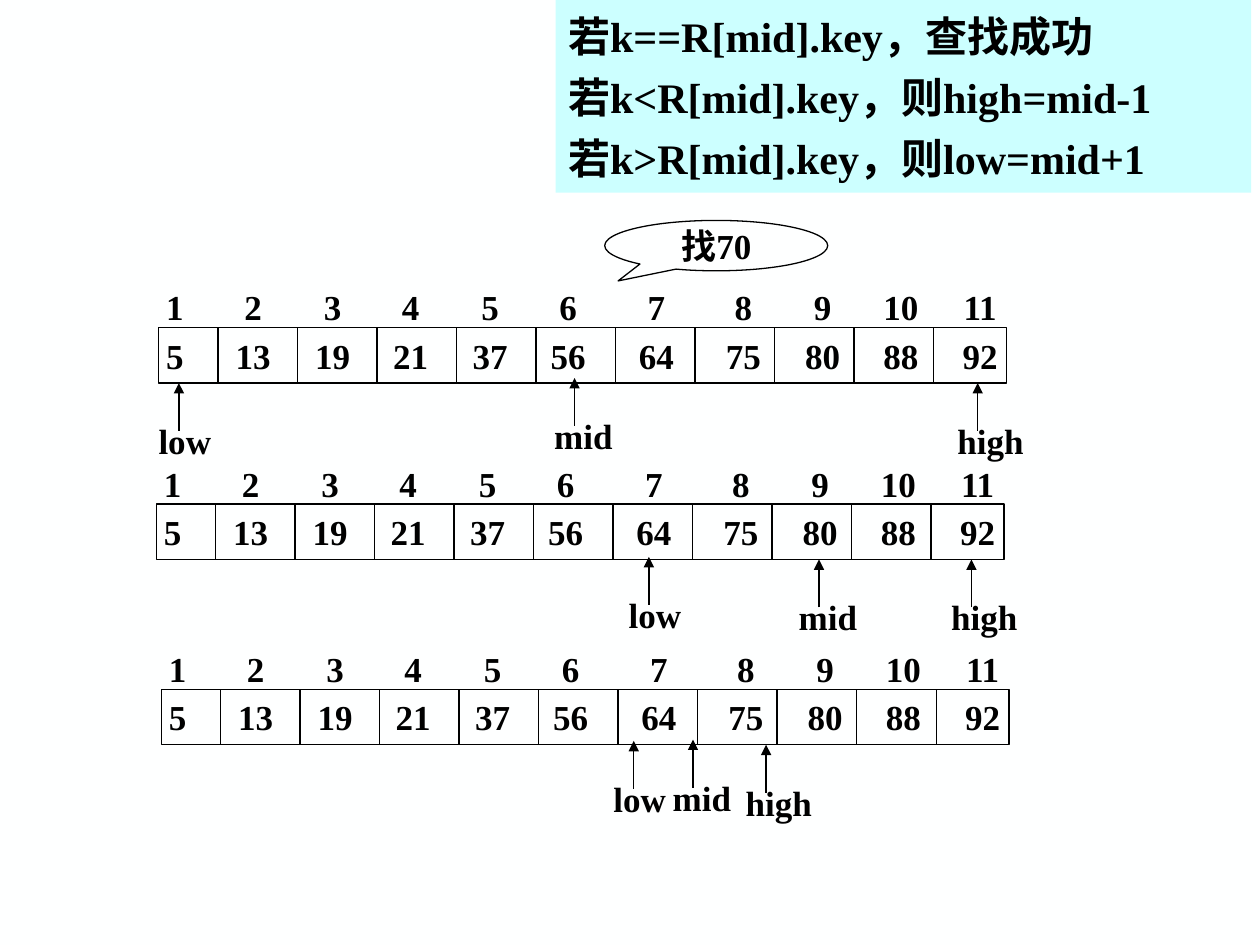
from lxml import etree
from pptx import Presentation
from pptx.dml.color import RGBColor
from pptx.enum.shapes import MSO_CONNECTOR, MSO_SHAPE
from pptx.enum.text import MSO_ANCHOR, PP_ALIGN
from pptx.oxml.ns import qn
from pptx.util import Inches, Pt

STRAIGHT = MSO_CONNECTOR.STRAIGHT
RECTANGLE, CALLOUT = MSO_SHAPE.RECTANGLE, MSO_SHAPE.OVAL_CALLOUT
TOP, MIDDLE = MSO_ANCHOR.TOP, MSO_ANCHOR.MIDDLE
LEFT, CENTER = PP_ALIGN.LEFT, PP_ALIGN.CENTER

# Content
RULES = [
    "若k==R[mid].key，查找成功",
    "若k<R[mid].key，则high=mid-1",
    "若k>R[mid].key，则low=mid+1",
]
TARGET = "找70"
KEYS = [5, 13, 19, 21, 37, 56, 64, 75, 80, 88, 92]
INDEXES = range(1, len(KEYS) + 1)
# Each search step: array corner, then pointers as (name, tip x, tip y)
STEPS = [
    ((1.26, 2.6), [("low", 1.42, 3.04), ("high", 7.76, 3.04), ("mid", 4.56, 3.0)]),
    ((1.24, 4.0), [("low", 5.15, 4.42), ("high", 7.71, 4.44), ("mid", 6.5, 4.44)]),
    ((1.28, 5.47), [("low", 5.03, 5.88), ("high", 6.08, 5.91), ("mid", 5.5, 5.87)]),
]

THEME = {
    "font": "Times New Roman",
    "ink": RGBColor(0, 0, 0),
    "panel": RGBColor(0xCC, 0xFF, 0xFF),
    "background": RGBColor(0xFE, 0xFF, 0xFF),
    "body": Pt(20),
    "rule": Pt(24),
    "line": Pt(0.75),
}

# Grid, in inches
ARRAY_WIDTH, ROW_HEIGHT = 6.73, 0.44
FIRST_DIVIDER, LAST_DIVIDER = 0.47, 6.15
DIVIDERS = len(KEYS) - 1
COLUMN = (LAST_DIVIDER - FIRST_DIVIDER) / (DIVIDERS - 1)
INDEX_RISE = 0.38
ARROW_LENGTH = 0.38
LABEL_SHIFT, LABEL_RISE = 0.26, 0.14
LABEL_WIDTHS = {"low": 0.61, "mid": 0.66, "high": 0.72}
# Number centres after the first column, measured from the text's left edge
TAB_CENTRES = [0.69, 1.32, 1.94, 2.57, 3.19, 3.89, 4.58, 5.21, 5.83, 6.46]


def write(shape, lines, size=THEME["body"], align=LEFT, anchor=MIDDLE,
          wrap=True, left=0.1, right=0.0, tabs=(), gap=0):
    frame = shape.text_frame
    frame.word_wrap = wrap
    frame.vertical_anchor = anchor
    frame.margin_left, frame.margin_right = Inches(left), Inches(right)
    frame.margin_top = frame.margin_bottom = Inches(0.05)
    for number, line in enumerate(lines):
        paragraph = frame.add_paragraph() if number else frame.paragraphs[0]
        paragraph.alignment = align
        paragraph.space_before = Pt(gap if number else 0)
        if tabs:
            stops = etree.SubElement(paragraph._p.get_or_add_pPr(), qn("a:tabLst"))
            for position in tabs:
                etree.SubElement(stops, qn("a:tab"), pos=str(Inches(position)), algn="ctr")
        run = paragraph.add_run()
        run.text = line
        run.font.name, run.font.size, run.font.bold = THEME["font"], size, True
        run.font.color.rgb = THEME["ink"]


def add_box(slide, kind, left, top, width, height, fill=None):
    shape = slide.shapes.add_shape(
        kind, Inches(left), Inches(top), Inches(width), Inches(height))
    shape.shadow.inherit = False
    if fill is None:
        shape.fill.background()
        shape.line.color.rgb = THEME["ink"]
        shape.line.width = THEME["line"]
    else:
        shape.fill.solid()
        shape.fill.fore_color.rgb = fill
        shape.line.fill.background()
    return shape


def add_text(slide, left_edge, top, width, text, **style):
    box = slide.shapes.add_textbox(
        Inches(left_edge), Inches(top), Inches(width), Inches(ROW_HEIGHT))
    write(box, [text], anchor=TOP, **style)


def add_line(slide, x, start, end, arrow=False):
    connector = slide.shapes.add_connector(
        STRAIGHT, Inches(x), Inches(start), Inches(x), Inches(end))
    connector.line.color.rgb = THEME["ink"]
    connector.line.width = THEME["line"]
    if arrow:
        etree.SubElement(connector.line._get_or_add_ln(), qn("a:tailEnd"), type="triangle")
    etree.SubElement(connector._element.spPr, qn("a:effectLst"))


def add_array(slide, left, top):
    def tabbed(numbers):
        return "\t".join(str(number) for number in numbers)

    add_text(slide, left, top - INDEX_RISE, ARRAY_WIDTH, tabbed(INDEXES),
             left=0.06, tabs=TAB_CENTRES)
    cells = add_box(slide, RECTANGLE, left, top, ARRAY_WIDTH, ROW_HEIGHT)
    write(cells, [tabbed(KEYS)], left=0.06, tabs=TAB_CENTRES)
    for column in range(DIVIDERS):
        add_line(slide, left + FIRST_DIVIDER + column * COLUMN, top, top + ROW_HEIGHT)


def add_pointer(slide, name, x, tip):
    tail = tip + ARROW_LENGTH
    add_line(slide, x, tail, tip, arrow=True)
    add_text(slide, x - LABEL_SHIFT, tail - LABEL_RISE, LABEL_WIDTHS[name], name)


def main():
    presentation = Presentation()
    presentation.slide_width, presentation.slide_height = Inches(10), Inches(7.5)
    slide = presentation.slides.add_slide(presentation.slide_layouts[6])
    slide.background.fill.solid()
    slide.background.fill.fore_color.rgb = THEME["background"]

    # Search steps
    for corner, pointers in STEPS:
        add_array(slide, *corner)
        for pointer in pointers:
            add_pointer(slide, *pointer)

    # Key being searched for
    callout = add_box(slide, CALLOUT, 4.8, 1.75, 1.77, 0.4)
    callout.adjustments[0], callout.adjustments[1] = -0.44, 0.7
    write(callout, [TARGET], align=CENTER, wrap=False, right=0.1)

    # Comparison rules
    panel = add_box(slide, RECTANGLE, 4.41, 0, 5.52, 1.53, THEME["panel"])
    write(panel, RULES, size=THEME["rule"], right=0.1, gap=6)

    presentation.save("out.pptx")


if __name__ == "__main__":
    main()
